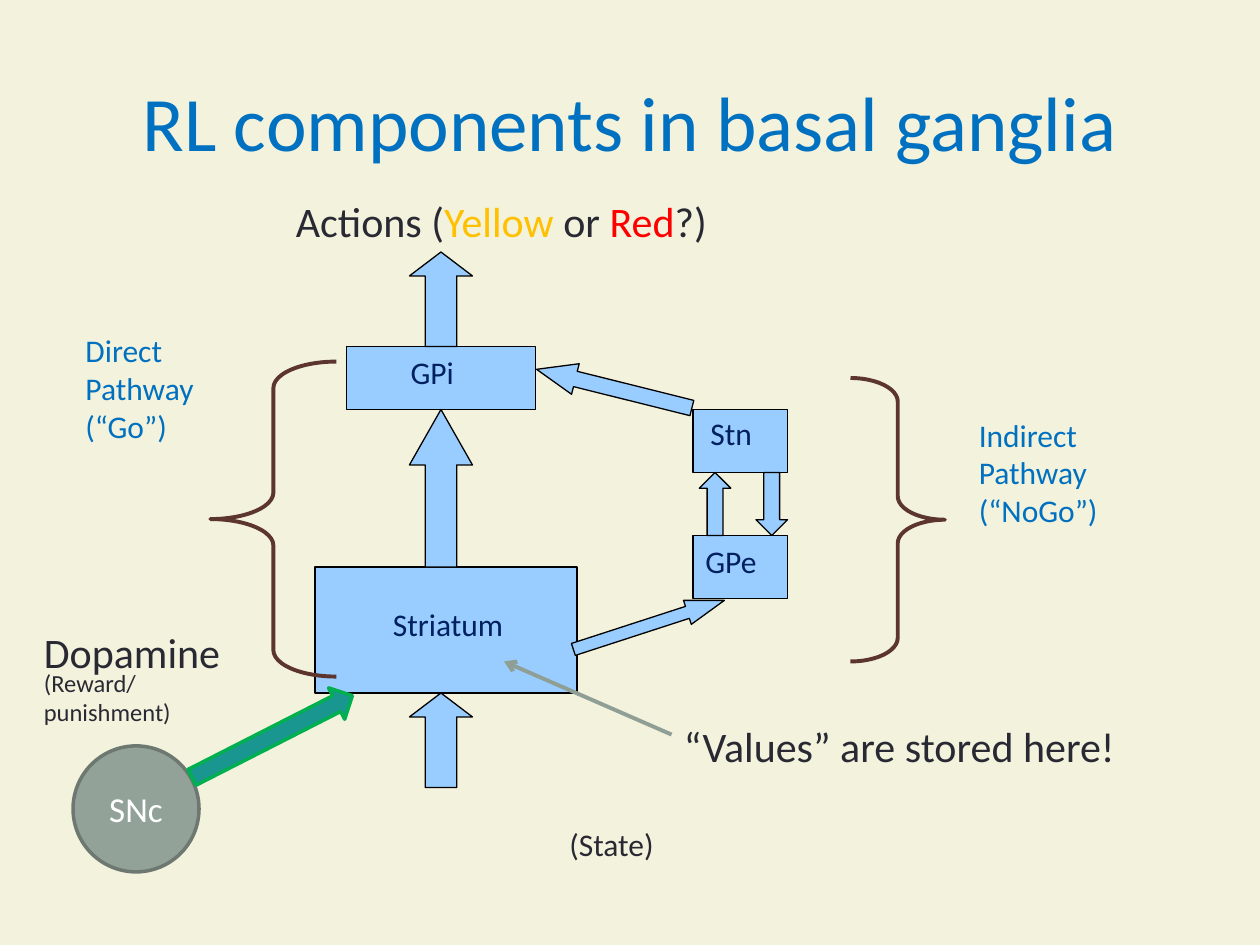
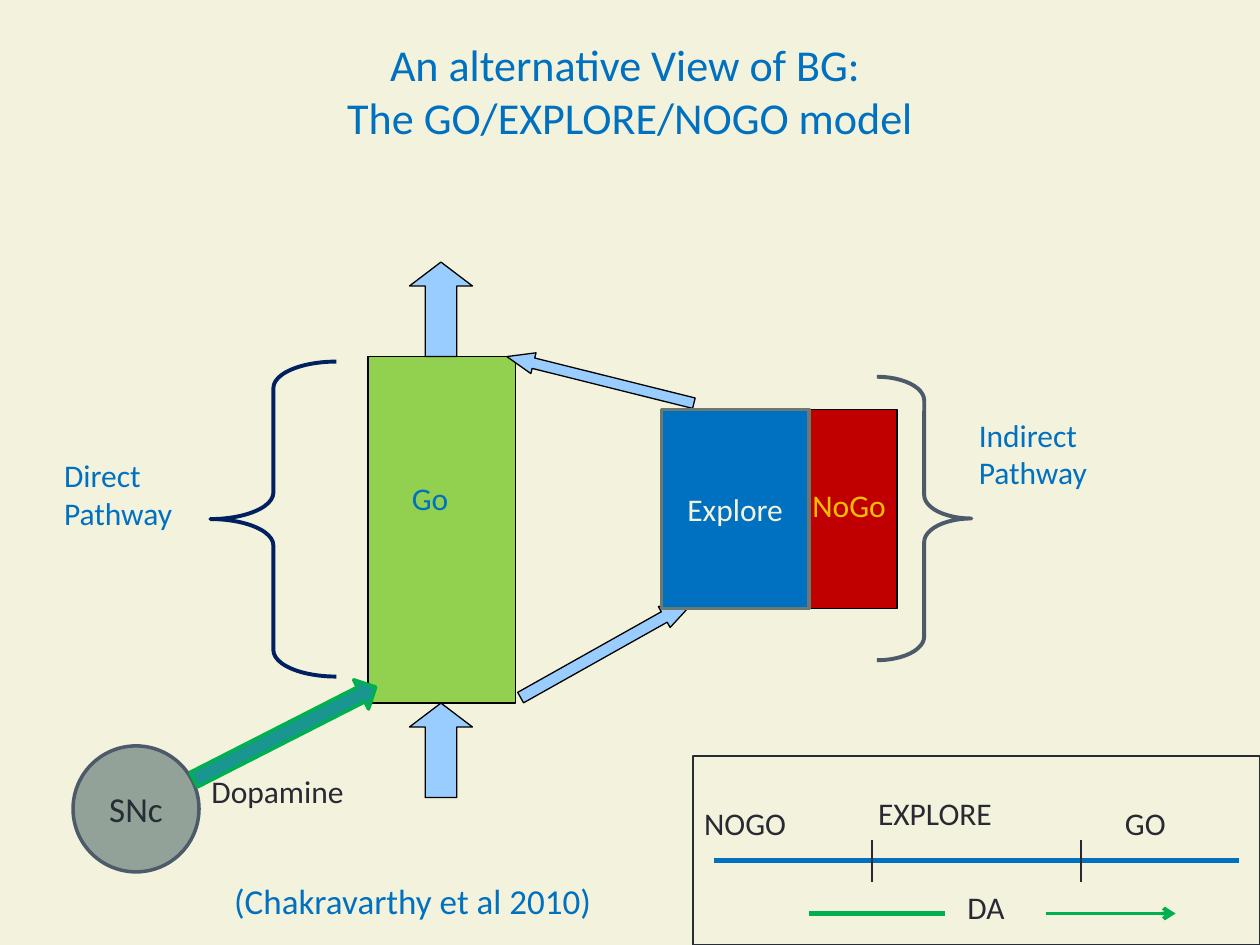
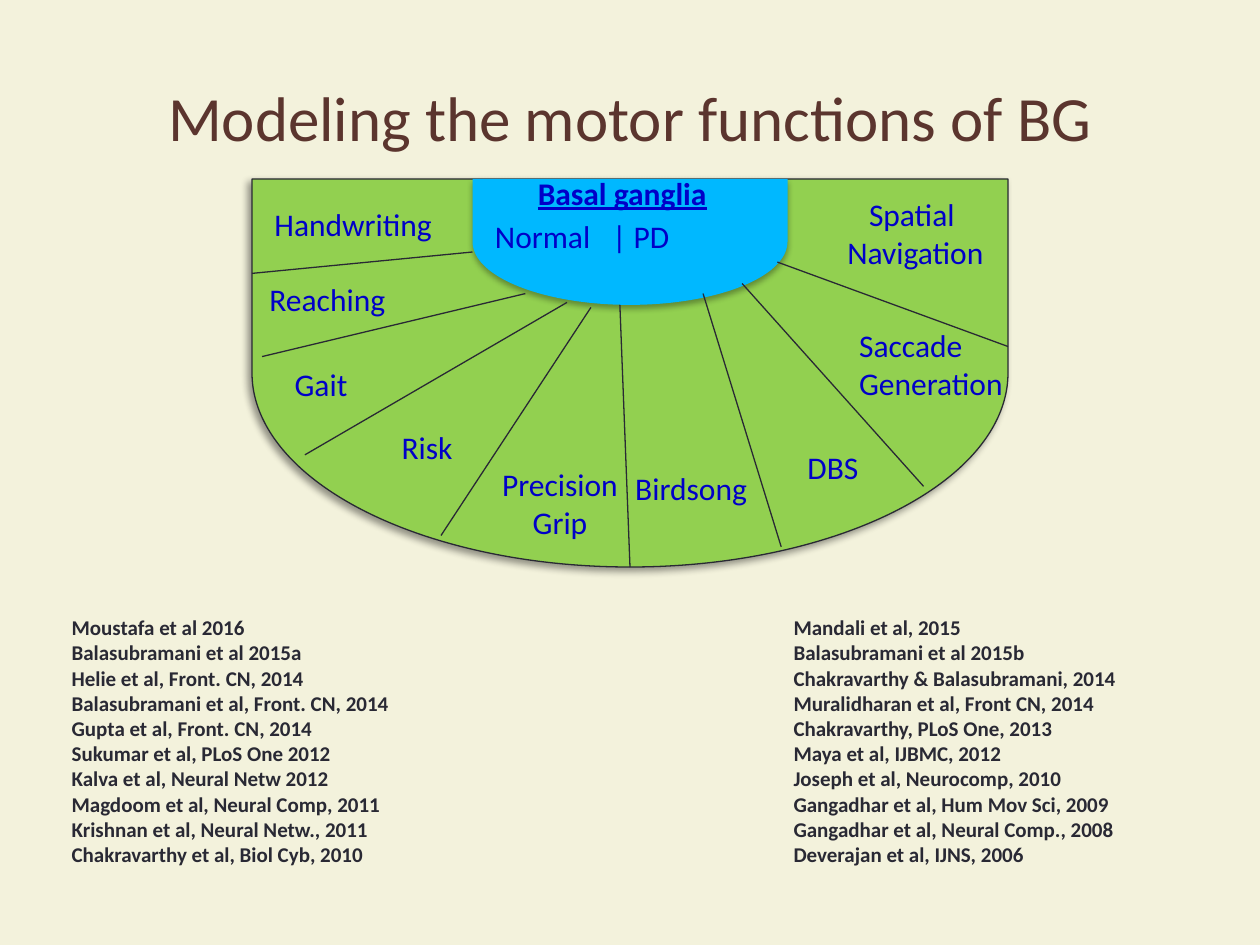
from lxml.etree import SubElement
from pptx import Presentation
from pptx.dml.color import RGBColor
from pptx.enum.shapes import MSO_CONNECTOR, MSO_SHAPE
from pptx.enum.text import MSO_ANCHOR, MSO_AUTO_SIZE, PP_ALIGN
from pptx.oxml.ns import qn
from pptx.util import Inches, Pt

CREAM = RGBColor(0xF3, 0xF2, 0xDC)
BLUE = RGBColor(0x00, 0x70, 0xC0)
NAVY = RGBColor(0x00, 0x20, 0x60)
INK = RGBColor(0x29, 0x29, 0x34)
SLATE_INK = RGBColor(0x26, 0x2D, 0x35)
SLATE = RGBColor(0x4C, 0x5A, 0x6A)
BROWN = RGBColor(0x5B, 0x35, 0x2E)
SKY = RGBColor(0x99, 0xCC, 0xFF)
CYAN = RGBColor(0x00, 0xB8, 0xFF)
SAGE = RGBColor(0x93, 0xA2, 0x99)
DARK_SAGE = RGBColor(0x6D, 0x78, 0x71)
POINTER = RGBColor(0x8F, 0x9F, 0x96)
TEAL = RGBColor(0x1A, 0x96, 0x90)
GREEN = RGBColor(0x00, 0xB0, 0x50)
LIME = RGBColor(0x92, 0xD0, 0x50)
GOLD = RGBColor(0xFF, 0xC0, 0x00)
RED = RGBColor(0xFF, 0x00, 0x00)
CRIMSON = RGBColor(0xC0, 0x00, 0x00)
INDIGO = RGBColor(0x00, 0x00, 0xC8)
BLACK = RGBColor(0x00, 0x00, 0x00)
WHITE = RGBColor(0xFF, 0xFF, 0xFF)
FONT = "Calibri"

LEFT_REFERENCES = [
    "Moustafa et al 2016",
    "Balasubramani et al 2015a",
    "Helie et al, Front. CN, 2014",
    "Balasubramani et al, Front. CN, 2014",
    "Gupta et al, Front. CN, 2014",
    "Sukumar et al, PLoS One 2012",
    "Kalva et al, Neural Netw 2012",
    "Magdoom et al, Neural Comp, 2011",
    "Krishnan et al, Neural Netw., 2011",
    "Chakravarthy et al, Biol Cyb, 2010",
]
RIGHT_REFERENCES = [
    "Mandali et al, 2015",
    "Balasubramani et al 2015b",
    "Chakravarthy & Balasubramani, 2014",
    "Muralidharan et al, Front CN, 2014",
    "Chakravarthy, PLoS One, 2013",
    "Maya et al, IJBMC, 2012",
    "Joseph et al, Neurocomp, 2010",
    "Gangadhar et al, Hum Mov Sci, 2009",
    "Gangadhar et al, Neural Comp., 2008",
    "Deverajan et al, IJNS, 2006",
]


def add_run(p, text, size, color, bold=None, underline=None):
    """Add one formatted run to a paragraph."""
    r = p.add_run()
    r.text = text
    r.font.name, r.font.size = FONT, Pt(size)
    r.font.color.rgb = color
    r.font.bold, r.font.underline = bold, underline


def add_label(s, box, lines, size=18, color=INK, align=PP_ALIGN.LEFT, bold=None, underline=None):
    """Add a text box; a line is a string or a list of (text, colour)."""
    tf = s.shapes.add_textbox(*map(Inches, box)).text_frame
    tf.word_wrap = True
    for i, line in enumerate(lines):
        p = tf.paragraphs[0] if i == 0 else tf.add_paragraph()
        p.alignment = align
        for text, shade in [(line, color)] if isinstance(line, str) else line:
            add_run(p, text, size, shade, bold, underline)
    return tf


def add_form(s, kind, box, fill=SKY, line=BLACK, weight=0.75, rotation=0, adj=()):
    """Add a preset shape; None leaves out the fill or the line."""
    sp = s.shapes.add_shape(kind, *map(Inches, box))
    sp.shadow.inherit = False
    sp.rotation = rotation
    for i, value in enumerate(adj):
        sp.adjustments[i] = value
    if fill is None:
        sp.fill.background()
    else:
        sp.fill.solid()
        sp.fill.fore_color.rgb = fill
    if line is None:
        sp.line.fill.background()
    else:
        sp.line.color.rgb = line
        sp.line.width = Pt(weight)
    return sp


def fill_text(sp, text, size, color):
    """Centre a text inside a shape."""
    tf = sp.text_frame
    tf.vertical_anchor = MSO_ANCHOR.MIDDLE
    tf.paragraphs[0].alignment = PP_ALIGN.CENTER
    add_run(tf.paragraphs[0], text, size, color)


def add_line(s, start, end, color, weight, arrow=False):
    """Draw a straight line, with an open arrowhead at its end if asked."""
    c = s.shapes.add_connector(MSO_CONNECTOR.STRAIGHT, *map(Inches, (*start, *end)))
    c.line.color.rgb = color
    c.line.width = Pt(weight)
    if arrow:
        SubElement(c.line._get_or_add_ln(), qn("a:tailEnd"), type="arrow")
    SubElement(c._element.spPr, qn("a:effectLst"))


def add_shadow(sp, alpha, blur, distance, direction):
    """Give a shape a soft black outer shadow."""
    effects = sp._element.spPr.find(qn("a:effectLst"))
    shadow = SubElement(effects, qn("a:outerShdw"), blurRad=str(Pt(blur)), dist=str(Pt(distance)),
                        dir=str(direction * 60000), rotWithShape="0")
    color = SubElement(shadow, qn("a:srgbClr"), val=str(BLACK))
    SubElement(color, qn("a:alpha"), val=str(alpha * 1000))


def add_titled_slide(prs, box, lines, size, color=BLUE, bottom=0.05):
    """Add a title-only slide and format its title."""
    s = prs.slides.add_slide(prs.slide_layouts[5])
    title = s.shapes.title
    title.left, title.top, title.width, title.height = map(Inches, box)
    tf = title.text_frame
    tf.auto_size = MSO_AUTO_SIZE.NONE
    tf.vertical_anchor = MSO_ANCHOR.MIDDLE
    tf.margin_bottom = Inches(bottom)
    p = tf.paragraphs[0]
    p.alignment = PP_ALIGN.CENTER
    for i, line in enumerate(lines):
        if i:
            p.add_line_break()
        add_run(p, line, size, color)
    return s


def add_up_arrow(s, x, y, height=0.75, head=0.38):
    """Draw an upward block arrow; head is its head's height over its width."""
    add_form(s, MSO_SHAPE.UP_ARROW, (x, y, 0.5, height), adj=(0.5, head))


def add_braces(s, left, top, right, right_top, left_color, right_color):
    """Bracket the direct pathway on the left and the indirect one on the right."""
    add_form(s, MSO_SHAPE.LEFT_BRACE, (left, top, 1, 2.5), None, left_color, 2.25, adj=(0.21, 0.5))
    add_form(s, MSO_SHAPE.RIGHT_BRACE, (right, right_top, 0.75, 2.25), None, right_color, 2.25,
             adj=(0.25, 0.5))


def add_dopamine_source(s, x, y, arrow, line, text_color):
    """Draw the SNc cell and its dopamine arrow; the arrow box is relative to the cell."""
    fill_text(add_form(s, MSO_SHAPE.OVAL, (x, y, 1, 1), SAGE, line, 2), "SNc", 20, text_color)
    dx, dy, w, h = arrow
    add_form(s, MSO_SHAPE.DOWN_ARROW, (x + dx, y + dy, w, h), TEAL, GREEN, 2, 243)


def add_nuclei(s, x, y):
    """Draw the four nuclei and the arrows between them."""
    for dx, dy, w, h in [(0, 2.5, 2.08, 1), (0.25, 0.75, 1.5, 0.5), (3, 2.25, 0.75, 0.5), (3, 1.25, 0.75, 0.5)]:
        add_form(s, MSO_SHAPE.RECTANGLE, (x + dx, y + dy, w, h))
    add_form(s, MSO_SHAPE.LEFT_ARROW, (x + 1.74, y + 0.96, 1.27, 0.25), rotation=14, adj=(0.5, 1.27))
    add_form(s, MSO_SHAPE.RIGHT_ARROW, (x + 2.02, y + 2.86, 1.26, 0.2), rotation=342, adj=(0.5, 1.54))
    add_form(s, MSO_SHAPE.UP_ARROW, (x + 3.05, y + 1.75, 0.25, 0.5))
    add_form(s, MSO_SHAPE.DOWN_ARROW, (x + 3.5, y + 1.75, 0.25, 0.5))
    for dy in (0, 3.5):
        add_up_arrow(s, x + 0.75, y + dy)
    add_up_arrow(s, x + 0.75, y + 1.25, 1.25, 0.88)
    for name, dx, dy, w in [("Striatum", 0.52, 2.75, 1.2), ("GPi", 0.66, 0.75, 0.72),
                            ("Stn", 3.04, 1.24, 0.64), ("GPe", 3, 2.25, 0.82)]:
        add_label(s, (x + dx, y + dy, w, 0.5), [name], color=NAVY)


def add_go_explore_nogo(s, x, y):
    """Draw the Go, Explore and NoGo regimes and the arrows between them."""
    add_form(s, MSO_SHAPE.RECTANGLE, (x, y + 0.75, 1.17, 2.75), LIME)
    add_form(s, MSO_SHAPE.RECTANGLE, (x + 2.58, y + 1.17, 1.62, 1.58), CRIMSON)
    add_form(s, MSO_SHAPE.LEFT_ARROW, (x + 1.08, y + 0.85, 1.53, 0.17), rotation=14, adj=(0.5, 1.28))
    add_form(s, MSO_SHAPE.RIGHT_ARROW, (x + 1.11, y + 2.97, 1.6, 0.19), rotation=330.7, adj=(0.5, 1.54))
    for dy in (3.5, 0):
        add_up_arrow(s, x + 0.33, y + dy)
    add_label(s, (x + 0.25, y + 1.67, 0.72, 0.75), ["Go"], color=BLUE)
    add_label(s, (x + 3.43, y + 1.73, 0.86, 0.75), ["NoGo"], color=GOLD)
    explore = add_form(s, MSO_SHAPE.RECTANGLE, (x + 2.33, y + 1.17, 1.17, 1.58), BLUE, DARK_SAGE, 2)
    fill_text(explore, "Explore", 18, CREAM)


def add_dopamine_scale(s, x, y):
    """Draw the framed scale from NOGO to GO along rising dopamine."""
    add_line(s, (x + 0.17, y + 0.83), (x + 4.33, y + 0.83), BLUE, 3)
    for dx in (1.42, 3.08):
        add_line(s, (x + dx, y + 0.67), (x + dx, y + 1), INK, 1.5)
    for name, dx, dy, w in [("NOGO", -0.01, 0.33, 1.18), ("EXPLORE", 1.37, 0.25, 1.72),
                            ("GO", 3.33, 0.33, 0.69), ("DA", 2.08, 1, 0.69)]:
        add_label(s, (x + dx, y + dy, w, 0.5), [name])
    add_form(s, MSO_SHAPE.RECTANGLE, (x, y, 4.5, 1.5), None, SLATE_INK, 1.5)
    add_line(s, (x + 2.8, y + 1.25), (x + 3.83, y + 1.25), GREEN, 2.25, True)
    add_line(s, (x + 0.92, y + 1.25), (x + 2, y + 1.25), GREEN, 3)


def add_half_disc(s, x, y, width, height, fill, line):
    """Draw a delay shape turned so that its round side faces down."""
    box = (x + (width - height) / 2, y + (height - width) / 2, height, width)
    return add_form(s, MSO_SHAPE.FLOWCHART_DELAY, box, fill, line, rotation=90)


def add_function_fan(s, x, y):
    """Draw the fan of motor functions around the basal ganglia."""
    add_shadow(add_half_disc(s, x, y, 6, 3.08, LIME, INK), 40, 4, 3, 135)
    add_shadow(add_half_disc(s, x + 1.75, y, 2.5, 1, CYAN, None), 32, 3.5, 2.2, 90)
    spokes = [
        (1.75, 0.58, 0, 0.75), (2.17, 0.91, 0.08, 1.41), (2.5, 0.98, 0.42, 2.19),
        (2.69, 1.02, 1.5, 2.83), (2.92, 1, 3, 3.08), (3.58, 0.91, 4.2, 2.92),
        (3.89, 0.83, 5.33, 2.44), (4.17, 0.66, 6, 1.33),
    ]
    for x1, y1, x2, y2 in spokes:
        add_line(s, (x + x1, y + y1), (x + x2, y + y2), INK, 0.75)
    left, center = PP_ALIGN.LEFT, PP_ALIGN.CENTER
    functions = [
        (["Handwriting"], 0.08, 0.16, 1.67, left), (["Reaching"], 0.04, 0.75, 1.38, left),
        (["Gait"], 0.24, 1.43, 0.73, left), (["Risk"], 1.06, 1.93, 0.66, center),
        (["Precision", "Grip"], 1.81, 2.22, 1.27, center), (["Birdsong"], 2.92, 2.25, 1.13, center),
        (["DBS"], 4.31, 2.09, 0.69, left), (["Saccade", "Generation"], 4.72, 1.12, 1.61, left),
        (["Spatial ", "Navigation"], 4.49, 0.08, 1.55, center),
    ]
    for lines, dx, dy, w, align in functions:
        add_label(s, (x + dx, y + dy, w, 0.1 + 0.3 * len(lines)), lines, color=INDIGO, align=align)
    add_label(s, (x + 2.17, y - 0.09, 1.86, 0.4), ["Basal ganglia"], color=INDIGO, bold=True, underline=True)
    tf = add_label(s, (x + 1.83, y + 0.25, 3.42, 0.4), ["Normal\t| PD"], color=INDIGO)
    tabs = SubElement(tf.paragraphs[0]._p.get_or_add_pPr(), qn("a:tabLst"))
    SubElement(tabs, qn("a:tab"), pos=str(Inches(0.93)), algn="l")


def build_components(prs):
    """Build the slide on reinforcement learning in the basal ganglia."""
    s = add_titled_slide(prs, (0.75, 0.33, 8.5, 1.25), ["RL components in basal ganglia"], 44)
    add_nuclei(s, 2.5, 2)
    add_braces(s, 1.67, 2.87, 6.75, 3, BROWN, BROWN)
    add_label(s, (0.58, 2.58, 1.35, 1.3), ["Direct", "Pathway", "(“Go”)"], color=BLUE)
    add_label(s, (7.67, 3.25, 1.53, 1.3), ["Indirect", "Pathway", "(“NoGo”)"], color=BLUE)
    add_dopamine_source(s, 0.58, 5.92, (1.44, -0.79, 0.28, 1.43), DARK_SAGE, WHITE)
    add_label(s, (0.25, 4.92, 1.8, 0.51), ["Dopamine"], 24)
    add_label(s, (0.25, 5.25, 1.6, 0.57), ["(Reward/punishment)"], 14)
    actions = [("Actions (", INK), ("Yellow ", GOLD), ("or ", INK), ("Red", RED), ("?)", INK)]
    add_label(s, (2.25, 1.5, 3.8, 0.5), [actions], 24)
    add_line(s, (5.33, 5.83), (4, 5.25), POINTER, 2.25, True)
    add_label(s, (5.33, 5.67, 3.9, 0.5), ["“Values” are stored here!"], 24)
    add_label(s, (4.42, 6.5, 1.1, 0.51), ["(State)"])


def build_alternative(prs):
    """Build the slide on the GO/EXPLORE/NOGO model."""
    lines = ["An alternative View of BG: ", "The GO/EXPLORE/NOGO model"]
    s = add_titled_slide(prs, (0.5, 0.3, 9, 1.25), lines, 25.2, bottom=0.47)
    add_go_explore_nogo(s, 2.92, 2.08)
    add_braces(s, 1.67, 2.87, 6.96, 2.99, NAVY, SLATE)
    add_label(s, (0.41, 3.57, 1.35, 1.3), ["Direct", "Pathway"], color=BLUE)
    add_label(s, (7.67, 3.25, 1.53, 1.3), ["Indirect", "Pathway"], color=BLUE)
    add_dopamine_source(s, 0.58, 5.92, (1.55, -0.91, 0.26, 1.62), SLATE, SLATE_INK)
    add_label(s, (1.58, 6.08, 1.6, 0.51), ["Dopamine"])
    add_label(s, (1.76, 6.93, 3.3, 0.5), ["(Chakravarthy et al 2010)"], 20, BLUE)
    add_dopamine_scale(s, 5.5, 6)


def build_motor_functions(prs):
    """Build the slide on models of motor functions and their references."""
    s = add_titled_slide(prs, (0.5, 0.3, 9, 1.25), ["Modeling the motor functions of BG"], 36, BROWN)
    add_function_fan(s, 2, 1.42)
    for x, w, references in [(0.47, 2.89, LEFT_REFERENCES), (6.2, 3.17, RIGHT_REFERENCES)]:
        add_label(s, (x, 4.83, w, 2.12), references, 12, bold=True)


def main():
    """Build and save the presentation."""
    prs = Presentation()
    prs.slide_width, prs.slide_height = Inches(10), Inches(7.5)
    background = prs.slide_master.background.fill
    background.solid()
    background.fore_color.rgb = CREAM
    build_components(prs)
    build_alternative(prs)
    build_motor_functions(prs)
    prs.save("out.pptx")


if __name__ == "__main__":
    main()
